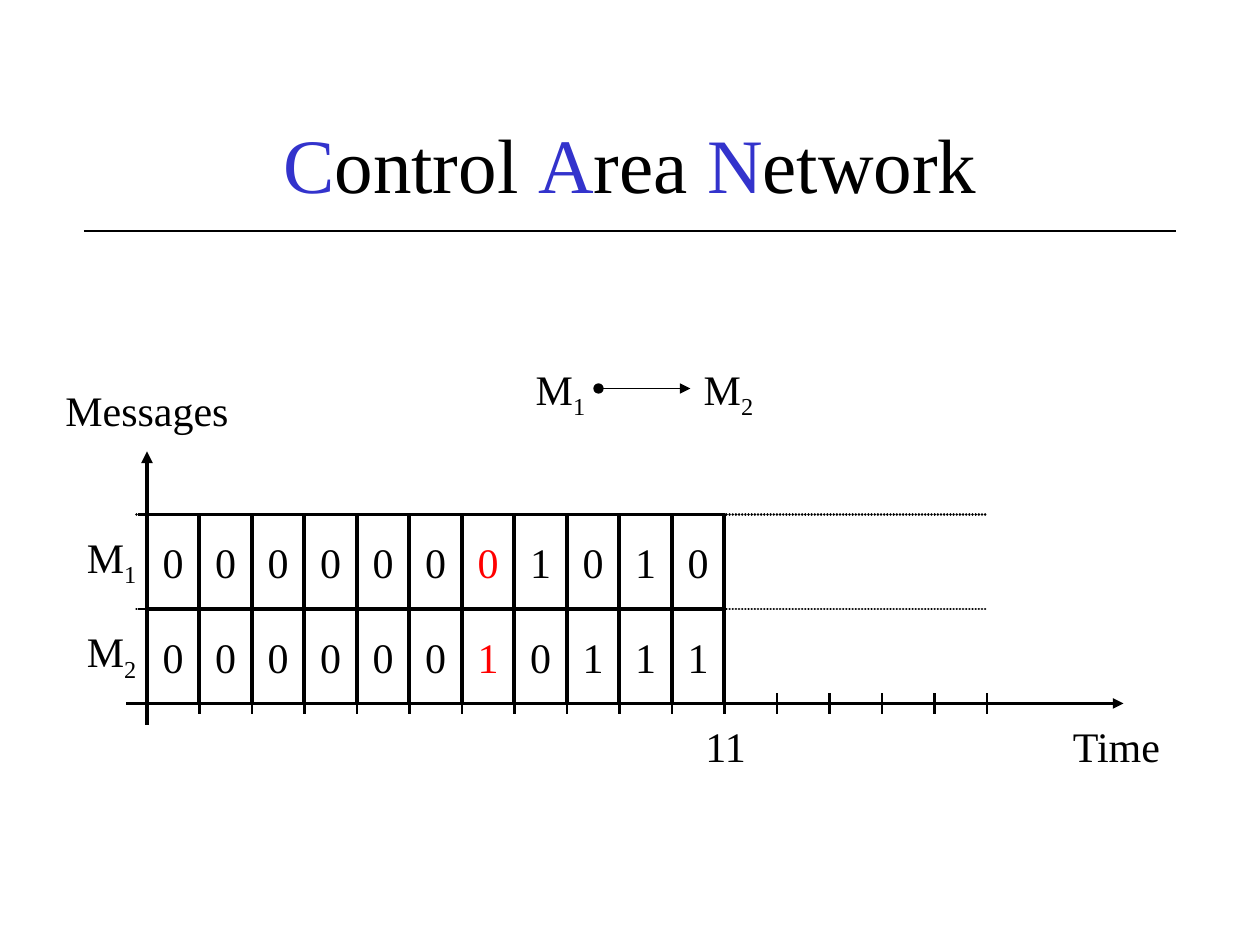
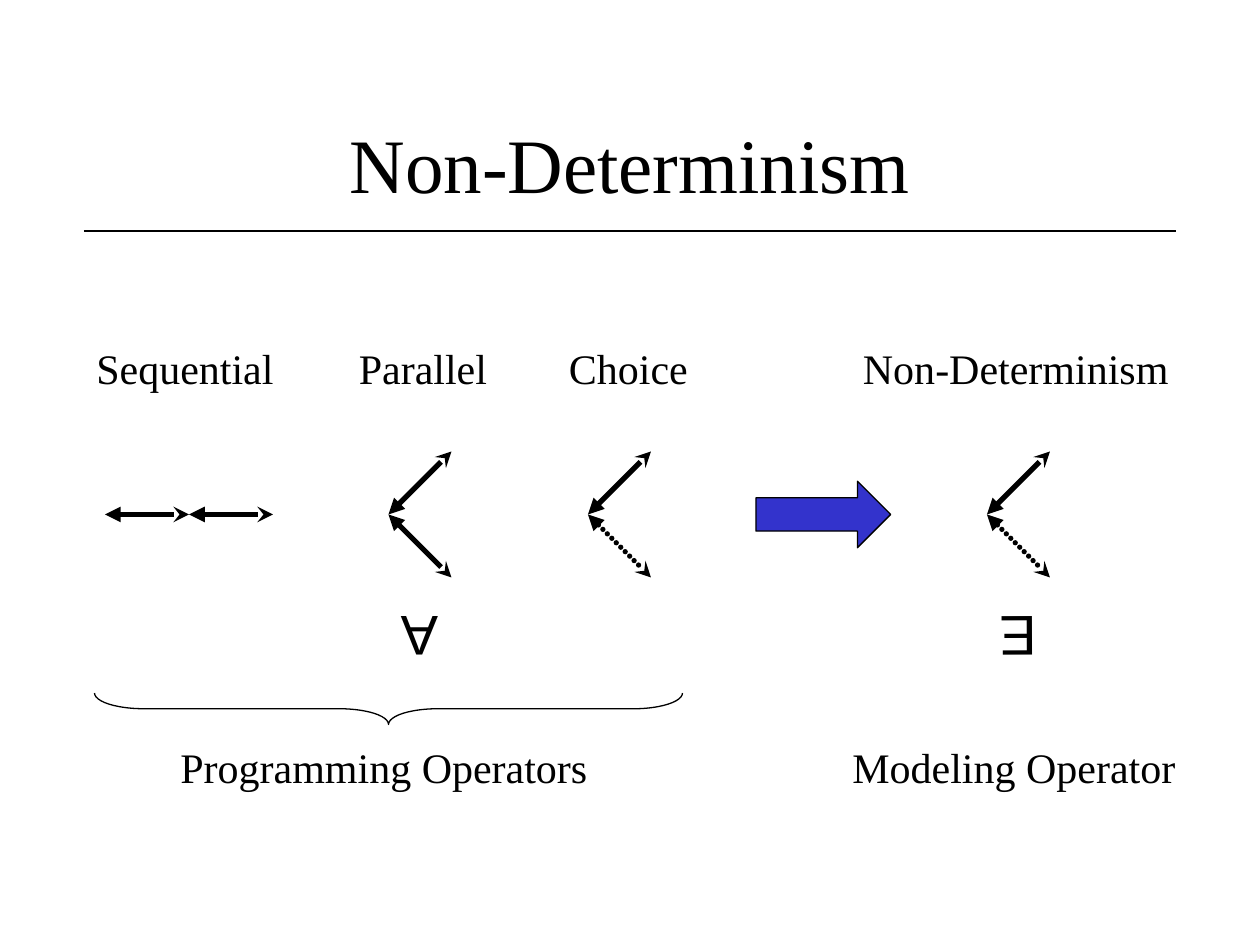
from lxml.etree import SubElement
from pptx import Presentation
from pptx.dml.color import RGBColor
from pptx.enum.shapes import MSO_CONNECTOR as Connector, MSO_SHAPE as Shape
from pptx.enum.text import MSO_ANCHOR as Anchor, MSO_AUTO_SIZE as AutoSize, PP_ALIGN as Align
from pptx.oxml.ns import qn
from pptx.util import Pt

BLACK, BLUE, RED = "000000", "3333CC", "FF0000"
SERIF, SANS = "Times New Roman", "Arial"


def color(hex_string):
    return RGBColor.from_string(hex_string)


def style(span, size=24, ink=BLACK, font=SERIF):
    span.font.size = Pt(size)
    span.font.name = font
    span.font.color.rgb = color(ink)


def write(shape, text, align=Align.LEFT, **looks):
    para = shape.text_frame.paragraphs[0]
    para.text = text
    para.alignment = align
    style(para.runs[0], **looks)
    return para


def add_label(page, box, text, subscript="", **looks):
    label = page.shapes.add_textbox(*map(Pt, box))
    label.text_frame.word_wrap = False
    label.text_frame.auto_size = AutoSize.SHAPE_TO_FIT_TEXT
    para = write(label, text, **looks)
    if subscript:
        span = para.add_run()
        span.text = subscript
        style(span)
        span.font._element.set("baseline", "-25000")
    return label


def add_line(page, start, end, width, head=None, tail=None, dotted=False):
    line = page.shapes.add_connector(Connector.STRAIGHT, *map(Pt, (*start, *end)))
    line.line.width = Pt(width)
    line.line.color.rgb = color(BLACK)
    outline = line.line._get_or_add_ln()
    if dotted:
        dashes = SubElement(outline, qn("a:custDash"))
        SubElement(dashes, qn("a:ds"), d="100000", sp="20000")
        outline.set("cap", "rnd")
    for tag, kind in (("a:headEnd", head), ("a:tailEnd", tail)):
        if kind:
            SubElement(outline, qn(tag), type=kind)
    SubElement(line._element.spPr, qn("a:effectLst"))


def add_outline(page, kind, box, width, fill=None):
    shape = page.shapes.add_shape(kind, *map(Pt, box))
    shape.shadow.inherit = False
    if fill:
        shape.fill.solid()
        shape.fill.fore_color.rgb = color(fill)
    else:
        shape.fill.background()
    shape.line.width = Pt(width)
    shape.line.color.rgb = color(BLACK)
    return shape


def add_title(page, box, parts):
    title = page.shapes.add_textbox(*map(Pt, box))
    frame = title.text_frame
    frame.word_wrap = True
    frame.vertical_anchor = Anchor.MIDDLE
    para = frame.paragraphs[0]
    para.alignment = Align.CENTER
    for text, ink in parts:
        span = para.add_run()
        span.text = text
        style(span, 44, ink)
    left, top, width, height = box
    rule = top + height - 6
    add_line(page, (left - 6, rule), (left + width + 6, rule), 0.75)


def add_priority(page, left, top):
    add_label(page, (left, top, 42.5, 40), "M", "1")
    add_label(page, (left + 96, top, 42.5, 40), "M", "2")
    add_line(page, (left + 43, top + 18), (left + 95.5, top + 18), 0.75, "oval", "triangle")


def add_timeline(page, left, top, messages, deciding_bit):
    step, row_height, ticks = 30, 54, 16
    bits = len(messages[0])
    axis = top + row_height * len(messages)
    last_tick = left + step * ticks

    add_line(page, (left - 12, axis), (left + 558, axis), 2, tail="triangle")
    add_line(page, (left, axis + 12), (left, top - 36), 2.25, tail="triangle")
    for tick in range(1, ticks + 1):
        x = left + step * tick
        add_line(page, (x, axis - 6), (x, axis + 6), 1.5)

    for row, message in enumerate(messages):
        y = top + row_height * row
        add_label(page, (left - 41.5, y + 6, 42.5, 40), "M", str(row + 1))
        add_line(page, (left - 5, y), (left + 7, y), 1.5)
        for column, bit in enumerate(message):
            cell = add_outline(page, Shape.RECTANGLE,
                               (left + step * column, y, step, row_height), 2.25)
            cell.text_frame.word_wrap = False
            cell.text_frame.vertical_anchor = Anchor.MIDDLE
            write(cell, bit, Align.CENTER, ink=RED if column == deciding_bit else BLACK)
        add_line(page, (left - 6, y), (last_tick, y), 1.5, dotted=True)

    add_label(page, (left - 54.5, top - 78, 109, 36), "Messages", align=Align.CENTER)
    add_label(page, (left + step * bits - 18, axis + 6, 38.5, 36), str(bits))
    add_label(page, (left + 522, axis + 6, 65, 36), "Time")


def add_step(page, start, end, dotted=False):
    add_line(page, start, end, 3, "triangle", "stealth", dotted)


def add_sequence(page, left, middle):
    for x in (left, left + 48):
        add_step(page, (x, middle), (x + 48, middle))


def add_fork(page, left, middle, dotted):
    add_step(page, (left, middle), (left + 36, middle - 36))
    add_step(page, (left, middle), (left + 36, middle + 36), dotted)


def add_quantifier(page, left, top, letter, angle):
    add_label(page, (left, top, 35, 46), letter, size=32, font=SANS).rotation = angle


def add_operators(page, left, top):
    middle = top + 102
    for x, width, text in ((0, 117, "Sequential"), (150, 89, "Parallel"),
                           (270, 84, "Choice"), (438, 190, "Non-Determinism")):
        add_label(page, (left + x, top, width, 36), text)
    add_sequence(page, left + 12, middle)
    for x, dotted in ((174, False), (288, True), (516, True)):
        add_fork(page, left + x, middle, dotted)
    add_quantifier(page, left + 174.5, top + 150, "A", 180)
    add_quantifier(page, left + 516.5, top + 150, "E", 179.8)

    arrow = add_outline(page, Shape.RIGHT_ARROW, (left + 384, middle - 19, 77, 38), 0.75, BLUE)
    arrow.adjustments[1] = 0.5

    span, depth = 336, 18
    brace = add_outline(page, Shape.RIGHT_BRACE,
                        (left + 174 - depth / 2, top + 213 - span / 2, depth, span), 0.75)
    brace.adjustments[0] = 1.56
    brace.rotation = 90
    add_label(page, (left + 48, top + 228, 248, 36), "Programming Operators")
    add_label(page, (left + 432, top + 228, 200, 36), "Modeling Operator")


def main():
    deck = Presentation()
    deck.slide_width, deck.slide_height = Pt(720), Pt(540)
    blank = deck.slide_layouts[6]
    title_box = (54, 48, 612, 90)

    page = deck.slides.add_slide(blank)
    add_title(page, title_box, [("C", BLUE), ("ontrol ", BLACK), ("A", BLUE),
                                ("rea ", BLACK), ("N", BLUE), ("etwork", BLACK)])
    add_priority(page, 299, 204)
    add_timeline(page, 84, 294, ("00000001010", "00000010111"), 6)

    page = deck.slides.add_slide(blank)
    add_title(page, title_box, [("Non-Determinism", BLACK)])
    add_operators(page, 48, 192)

    deck.save("out.pptx")


if __name__ == "__main__":
    main()
